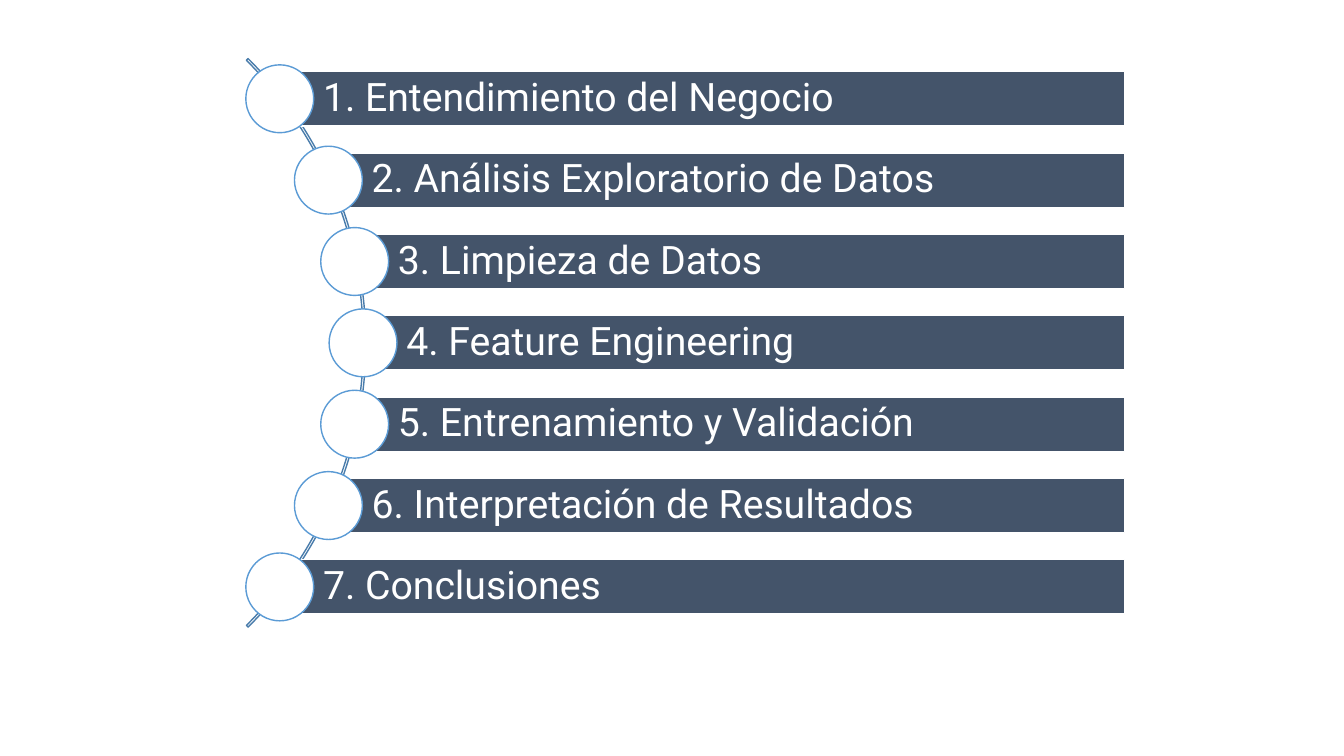
"""Build a slide that lists seven project stages along an arc."""
import math

from pptx import Presentation
from pptx import util as u
from pptx.dml.color import RGBColor
from pptx.enum import shapes, text

COLORS = {"bar": "44546A", "white": "FFFFFF", "bead": "5B9BD5", "arc": "497CAB"}
STAGES = [
    "Entendimiento del Negocio",
    "Análisis Exploratorio de Datos",
    "Limpieza de Datos",
    "Feature Engineering",
    "Entrenamiento y Validación",
    "Interpretación de Resultados",
    "Conclusiones",
]
CENTER_X, CENTER_Y = -0.91, 8.64
ARC_RADIUS, BEAD_ORBIT = 10.13, 10.06
BEAD_SIZE, BAR_HEIGHT, BAR_RIGHT = 1.71, 1.37, 28.34
PITCH = 2.05


class Painter:
    """Hold the current slide and the style of its elements."""

    def __init__(self, slide, font="Roboto", size=28):
        self.slide, self.font, self.size = slide, font, size

    def add(self, kind, left, top, width, height, line, fill=None):
        """Add a preset shape, measured in centimetres."""
        shape = self.slide.shapes.add_shape(
            kind, u.Cm(left), u.Cm(top), u.Cm(width), u.Cm(height))
        shape.shadow.inherit = False
        if fill:
            shape.fill.solid()
            shape.fill.fore_color.rgb = RGBColor.from_string(COLORS[fill])
        else:
            shape.fill.background()
        shape.line.color.rgb = RGBColor.from_string(COLORS[line])
        shape.line.width = u.Pt(1)
        return shape

    def arc(self, x, y, radius):
        """Add the thin quarter ring, open to the left."""
        shape = self.add(shapes.MSO_SHAPE.BLOCK_ARC, x - radius, y - radius,
                         2 * radius, 2 * radius, "arc")
        for index, value in enumerate((189, 27, 0.003)):
            shape.adjustments[index] = value

    def bar(self, left, y, label):
        """Add a stage bar with its label, centred on y."""
        shape = self.add(shapes.MSO_SHAPE.RECTANGLE, left, y - BAR_HEIGHT / 2,
                         BAR_RIGHT - left, BAR_HEIGHT, "white", "bar")
        frame = shape.text_frame
        frame.text = label
        frame.word_wrap = True
        frame.vertical_anchor = text.MSO_ANCHOR.MIDDLE
        frame.margin_left = u.Cm(1.09)
        frame.margin_top = frame.margin_right = frame.margin_bottom = u.Cm(0.2)
        paragraph = frame.paragraphs[0]
        paragraph.alignment = text.PP_ALIGN.LEFT
        paragraph.line_spacing = 0.9
        font = paragraph.runs[0].font
        font.name, font.size = self.font, u.Pt(self.size)
        font.color.rgb = RGBColor.from_string(COLORS["white"])

    def bead(self, x, y):
        """Add a round bead centred on a point."""
        self.add(shapes.MSO_SHAPE.OVAL, x - BEAD_SIZE / 2, y - BEAD_SIZE / 2,
                 BEAD_SIZE, BEAD_SIZE, "bead", "white")


presentation = Presentation()
presentation.slide_width, presentation.slide_height = u.Cm(33.87), u.Cm(19.05)
painter = Painter(presentation.slides.add_slide(presentation.slide_layouts[6]))

painter.arc(CENTER_X, CENTER_Y, ARC_RADIUS)
for number, stage in enumerate(STAGES, 1):
    offset = (number - (len(STAGES) + 1) / 2) * PITCH
    x = CENTER_X + math.sqrt(BEAD_ORBIT ** 2 - offset ** 2)
    y = CENTER_Y + offset
    painter.bar(x, y, f"{number}. {stage}")
    painter.bead(x, y)

presentation.save("out.pptx")
